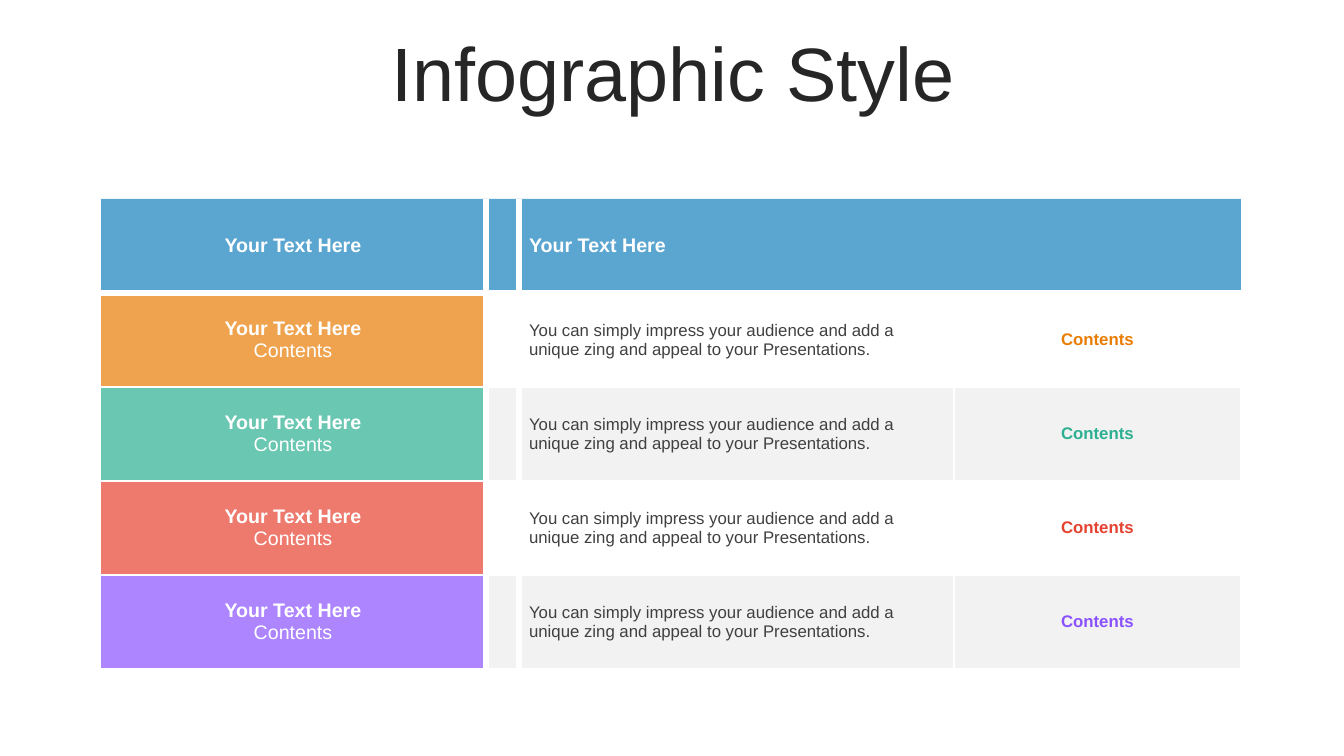
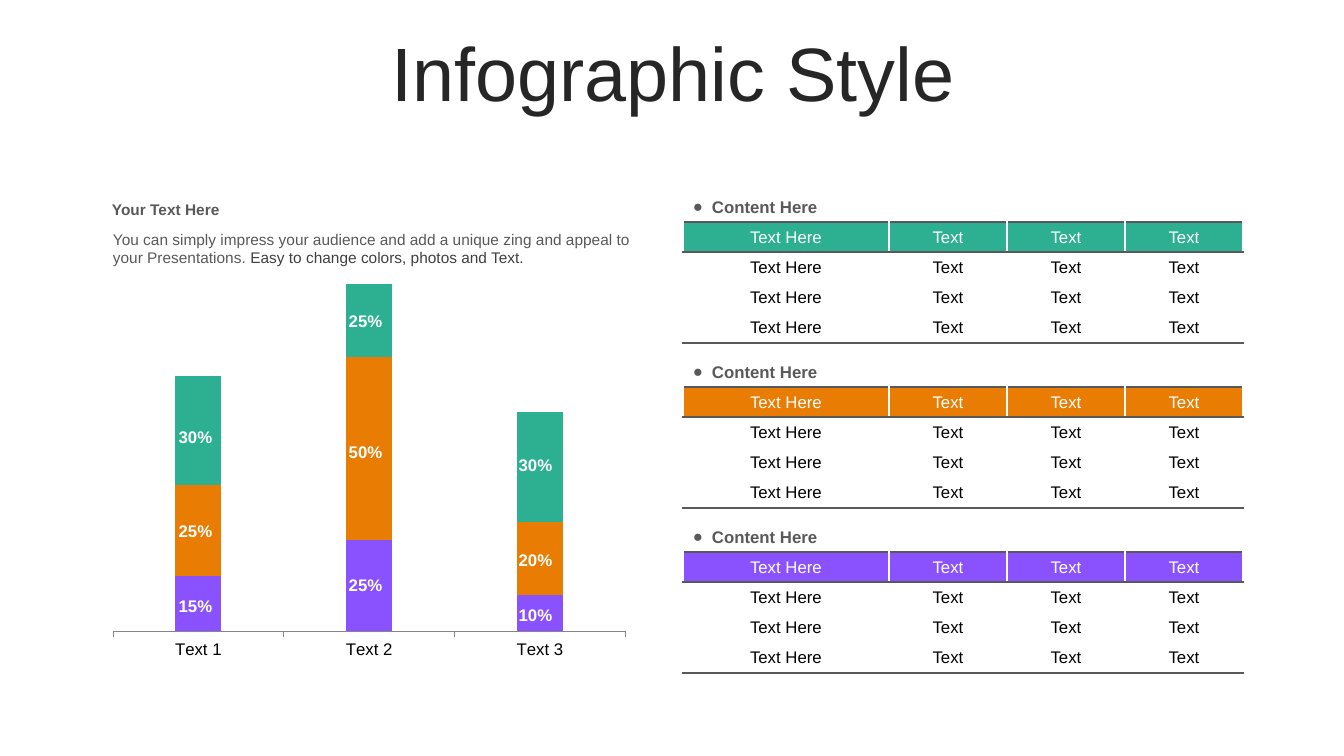
from lxml import etree
from pptx import Presentation
from pptx.chart.data import CategoryChartData
from pptx.dml.color import RGBColor
from pptx.enum.chart import XL_CHART_TYPE as ChartType, XL_TICK_MARK as TickMark
from pptx.enum.text import MSO_ANCHOR as Anchor, MSO_AUTO_SIZE as AutoSize, PP_ALIGN as Align
from pptx.oxml import parse_xml
from pptx.oxml.ns import nsdecls, qn
from pptx.util import Pt

PX = 9071  # EMU per px, 100.8 px to the inch
FONT = "Arial"
WHITE, PALE, BLACK = "FFFFFF", "F2F2F2", "000000"
INK, DARK, GREY, AXIS = "262626", "404040", "595959", "868686"
BLUE, ORANGE, GREEN, RED, PURPLE = "1581BD", "E97D03", "2CB091", "E64230", "8A52FF"
PLAIN_TABLE = "{2D5ABB26-0587-4C30-8999-92F81FD0307C}"
PITCH = "You can simply impress your audience and add a unique zing and appeal to your Presentations."
hex_colour = RGBColor.from_string


def write(paragraph, text, size, colour, bold=False, align=Align.LEFT):
    paragraph.text = text
    paragraph.alignment = align
    font = paragraph.font
    font.name, font.size, font.bold = FONT, Pt(size), bold
    font.color.rgb = hex_colour(colour)


def style_cell(cell, fill, borders, opacity=100):
    """Fill a cell and draw its borders, given as {side: (colour, points)}."""
    cell.vertical_anchor = Anchor.MIDDLE
    cell.fill.solid()
    cell.fill.fore_color.rgb = hex_colour(fill)
    properties = cell._tc.get_or_add_tcPr()
    if opacity < 100:
        tint = properties.find(".//" + qn("a:srgbClr"))
        etree.SubElement(tint, qn("a:alpha")).set("val", str(opacity * 1000))
    drawn = [side for side in "LRTB" if side in borders]
    for place, side in enumerate(drawn):
        colour, points = borders[side]
        properties.insert(place, parse_xml(
            f'<a:ln{side} {nsdecls("a")} w="{Pt(points)}"><a:solidFill>'
            f'<a:srgbClr val="{colour}"/></a:solidFill></a:ln{side}>'))


prs = Presentation()
prs.slide_width, prs.slide_height = 1344 * PX, 756 * PX

# Both slides carry the same title
slides = []
for _ in range(2):
    slide = prs.slides.add_slide(prs.slide_layouts[5])
    title = slide.shapes.title
    title.left, title.top, title.width, title.height = 35 * PX, 37 * PX, 1276 * PX, 80 * PX
    title.text_frame.auto_size = AutoSize.NONE
    title.text_frame.vertical_anchor = Anchor.MIDDLE
    heading = title.text_frame.paragraphs[0]
    write(heading, "Infographic Style", 54, INK, align=Align.CENTER)
    heading.line_spacing = 0.9
    slides.append(slide)
overview, figures = slides

# Slide 1: colour-coded table
topic_widths = [386, 33, 404, 31, 287]
topics = [(BLUE, BLUE), (ORANGE, WHITE), (GREEN, PALE), (RED, WHITE), (PURPLE, PALE)]
topic_frame = overview.shapes.add_table(
    len(topics), len(topic_widths), 100 * PX, 199 * PX, sum(topic_widths) * PX, 470 * PX)
topic_frame._element.find(".//" + qn("a:tableStyleId")).text = PLAIN_TABLE
topic_table = topic_frame.table
for column, width in zip(topic_table.columns, topic_widths):
    column.width = width * PX
topic_table.cell(0, 2).merge(topic_table.cell(0, 4))

thin, thick = (WHITE, 1), (WHITE, 4.5)
side_borders = [{"L": thin, "R": thick}, {"L": thick}, {}, {"R": thin}, {"L": thin, "R": thin}]
for row, (colour, band) in enumerate(topics):
    cells = topic_table.rows[row].cells
    for col, cell in enumerate(cells):
        borders = dict(side_borders[col], B=thin if row else thick)
        if row:
            borders["T"] = thick if row == 1 else thin
        tinted = row == 0 or col == 0
        style_cell(cell, colour if tinted else band, borders, 70 if tinted else 100)
    label, detail, tag = [cells[col].text_frame for col in (0, 2, 4)]
    write(label.paragraphs[0], "Your Text Here", 14, WHITE, True, Align.CENTER)
    if row == 0:
        write(detail.paragraphs[0], "Your Text Here", 14, WHITE, True)
    else:
        write(label.add_paragraph(), "Contents", 14, WHITE, align=Align.CENTER)
        write(detail.paragraphs[0], PITCH, 12, DARK)
        write(tag.paragraphs[0], "Contents", 12, colour, True, Align.CENTER)

# Slide 2: three small tables, each under a bulleted heading
grid_widths = [206, 118, 118, 118]
rule = (GREY, 1.5)
for index, colour in enumerate([GREEN, ORANGE, PURPLE]):
    top = 222 + 165 * index
    grid_frame = figures.shapes.add_table(
        4, 4, 683 * PX, top * PX, sum(grid_widths) * PX, 121 * PX)
    grid_frame._element.find(".//" + qn("a:tableStyleId")).text = PLAIN_TABLE
    grid = grid_frame.table
    for column, width in zip(grid.columns, grid_widths):
        column.width = width * PX
    for row in range(4):
        borders = {"L": thin, "R": thin,
                   "T": rule if row < 2 else thin,
                   "B": rule if row in (0, 3) else thin}
        for col, cell in enumerate(grid.rows[row].cells):
            style_cell(cell, WHITE if row else colour, borders)
            write(cell.text_frame.paragraphs[0], "Text" if col else "Text Here", 12,
                  BLACK if row else WHITE, align=Align.CENTER)

    caption = figures.shapes.add_textbox(683 * PX, (top - 30) * PX, 221 * PX, 30 * PX)
    caption.text_frame.word_wrap = True
    bulleted = caption.text_frame.paragraphs[0]
    indent = bulleted._p.get_or_add_pPr()
    indent.set("marL", str(19 * PX))
    indent.set("indent", str(-19 * PX))
    etree.SubElement(indent, qn("a:buFont")).set("typeface", FONT)
    etree.SubElement(indent, qn("a:buChar")).set("char", "●")
    write(bulleted, "Content Here", 12, GREY, True)

# Stacked column chart
chart_data = CategoryChartData()
chart_data.categories = ["Text 1", "Text 2", "Text 3"]
series_plan = [("Series 1", (30, 50, 20), PURPLE),
               ("Series 2", (50, 100, 40), ORANGE),
               ("Series 3", (60, 40, 60), GREEN)]
for name, values, _ in series_plan:
    chart_data.add_series(name, values)
chart = figures.shapes.add_chart(ChartType.COLUMN_STACKED, 91 * PX, 266 * PX,
                                 551 * PX, 406 * PX, chart_data).chart
chart.has_legend = chart.has_title = False
chart.font.name, chart.font.size = FONT, Pt(12)
chart.font.color.rgb = hex_colour(BLACK)
columns = chart.plots[0]
columns.gap_width, columns.overlap, columns.vary_by_categories = 270, 100, False
for series, (_, _, colour) in zip(columns.series, series_plan):
    series.format.fill.solid()
    series.format.fill.fore_color.rgb = hex_colour(colour)
chart.value_axis.visible = False
chart.value_axis.has_major_gridlines = False
chart.value_axis.minimum_scale, chart.value_axis.maximum_scale = 0, 200
chart.category_axis.major_tick_mark = TickMark.OUTSIDE
chart.category_axis.format.line.color.rgb = hex_colour(AXIS)

# Fixed plot area inside the chart
plot_area = chart._chartSpace.find(".//" + qn("c:plotArea"))
for automatic in plot_area.findall(qn("c:layout")):
    plot_area.remove(automatic)
layout = etree.Element(qn("c:layout"))
manual = etree.SubElement(layout, qn("c:manualLayout"))
for key, value in [("layoutTarget", "inner"), ("xMode", "edge"), ("yMode", "edge"),
                   ("x", "0.04"), ("y", "0"), ("w", "0.93"), ("h", "0.9")]:
    etree.SubElement(manual, qn("c:" + key)).set("val", value)
plot_area.insert(0, layout)

# Percentages on the columns, from the bottom up
shares = [[("15%", 591), ("25%", 516), ("30%", 422)],
          [("25%", 570), ("50%", 437), ("25%", 306)],
          [("10%", 600), ("20%", 545), ("30%", 450)]]
for index, stack in enumerate(shares):
    for share, top in stack:
        box = figures.shapes.add_textbox((164 + 170 * index) * PX, top * PX, 63 * PX, 30 * PX)
        box.text_frame.word_wrap = True
        write(box.text_frame.paragraphs[0], share, 12, WHITE, True, Align.CENTER)

# Introduction above the chart
for left, top, height, text, bold in [(103, 225, 47, PITCH + " ", False),
                                      (102, 195, 29, "Your Text Here", True)]:
    intro = figures.shapes.add_textbox(left * PX, top * PX, 564 * PX, height * PX)
    intro.text_frame.word_wrap = True
    paragraph = intro.text_frame.paragraphs[0]
    write(paragraph, text, 11, GREY, bold)
    if not bold:
        closing = paragraph.add_run()
        closing.text = "Easy to change colors, photos and Text."
        closing.font.color.rgb = hex_colour(DARK)

prs.save("out.pptx")
